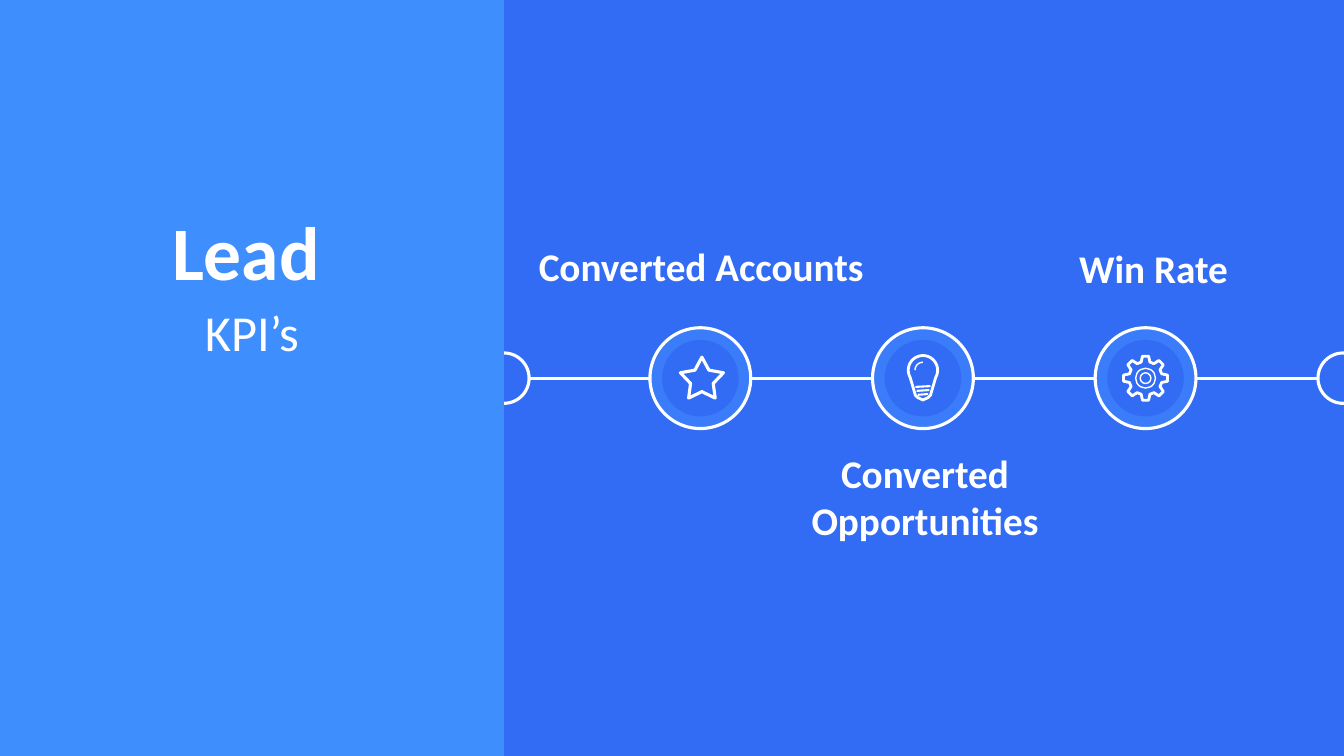
from math import cos, radians, sin

from lxml import etree
from pptx import Presentation
from pptx import util as u
from pptx.dml.color import RGBColor
from pptx.enum import shapes, text
from pptx.oxml.ns import qn

WHITE = RGBColor(0xFF, 0xFF, 0xFF)
BLUE = RGBColor(0x32, 0x6C, 0xF4)
SKY = RGBColor(0x3E, 0x8E, 0xFD)
RING = RGBColor(0x3B, 0x7C, 0xFA)

MID = 9.53
STEP = 5.61
NODES = [17.65 + STEP * n for n in range(3)]
ENDS = [12.7, 33.85]


def style(item, fill=None, width=0):
    item.shadow.inherit = False
    if fill is None:
        item.fill.background()
    else:
        item.fill.solid()
        item.fill.fore_color.rgb = fill
    if width:
        item.line.color.rgb = WHITE
        item.line.width = u.Pt(width)
    else:
        item.line.fill.background()


def block(slide, kind, left, top, wide, high, **look):
    item = slide.shapes.add_shape(kind, u.Cm(left), u.Cm(top), u.Cm(wide), u.Cm(high))
    style(item, **look)


def disc(slide, x, y, size, **look):
    block(slide, shapes.MSO_SHAPE.OVAL, x - size / 2, y - size / 2, size, size, **look)


def write(slide, words, left, top, wide, high, size=28, bold=True):
    box = slide.shapes.add_textbox(u.Cm(left), u.Cm(top), u.Cm(wide), u.Cm(high))
    frame = box.text_frame
    frame.word_wrap = True
    frame.auto_size = text.MSO_AUTO_SIZE.SHAPE_TO_FIT_TEXT
    para = frame.paragraphs[0]
    para.alignment = text.PP_ALIGN.CENTER
    run = para.add_run()
    run.text = words
    run.font.name = "Calibri"
    run.font.size = u.Pt(size)
    run.font.bold = bold
    run.font.color.rgb = WHITE


def link(slide, start, end):
    line = slide.shapes.add_connector(
        shapes.MSO_CONNECTOR.STRAIGHT, u.Cm(start), u.Cm(MID), u.Cm(end), u.Cm(MID))
    line.line.color.rgb = WHITE
    line.line.width = u.Pt(2.25)
    etree.SubElement(line.element.spPr, qn("a:effectLst"))


def polar(radius, angle):
    return radius * cos(radians(angle)), radius * sin(radians(angle))


def trace(slide, x, y, points, close=True, width=2.25):
    spots = [(u.Cm(x + dx), u.Cm(y + dy)) for dx, dy in points]
    pen = slide.shapes.build_freeform(*spots[0])
    pen.add_line_segments(spots[1:], close=close)
    item = pen.convert_to_shape()
    style(item, width=width)
    etree.SubElement(item.element.spPr.find(qn("a:ln")), qn("a:round"))


def star(slide, x):
    points = [polar(0.3 if n % 2 else 0.57, 36 * n - 90) for n in range(10)]
    trace(slide, x + 0.04, MID + 0.04, points)


def bulb(slide, x):
    top = MID - 0.2
    glass = [polar(0.37, a) for a in range(150, 391, 10)]
    base = [(0.19, 0.63), (0.13, 0.69), (0, 0.75), (-0.13, 0.69), (-0.19, 0.63)]
    trace(slide, x, top, glass + base, width=2)
    for y, half in ((0.42, 0.19), (0.52, 0.16), (0.62, 0.13)):
        trace(slide, x, top, [(-half, y), (half, y - 0.02)], close=False, width=1.5)
    trace(slide, x, top, [polar(0.2, a) for a in range(180, 271, 10)],
          close=False, width=1)


def gear(slide, x):
    tooth = ((-15, 0.42), (-8, 0.56), (8, 0.56), (15, 0.42))
    points = [polar(far, 45 * n + turn) for n in range(8) for turn, far in tooth]
    trace(slide, x, MID, points, width=2)
    for size in (0.5, 0.27):
        disc(slide, x, MID, size, width=1)


def main():
    deck = Presentation()
    deck.slide_width, deck.slide_height = u.Cm(33.87), u.Cm(19.05)
    slide = deck.slides.add_slide(deck.slide_layouts[6])
    slide.background.fill.solid()
    slide.background.fill.fore_color.rgb = BLUE

    for x in ENDS:
        disc(slide, x, MID, 1.27, fill=BLUE, width=2.25)
    block(slide, shapes.MSO_SHAPE.RECTANGLE, 0, 0, 12.7, 19.05, fill=SKY)
    write(slide, "Lead", 0.94, 5.03, 10.52, 2.57, size=54)
    write(slide, "KPI’s", 1.09, 7.47, 10.52, 1.8, size=36, bold=False)

    starts = [ENDS[0] + 0.63] + [x + 1.27 for x in NODES]
    stops = [x - 1.27 for x in NODES] + [ENDS[1] - 0.63]
    for start, stop in zip(starts, stops):
        link(slide, start, stop)

    for x, icon in zip(NODES, (star, bulb, gear)):
        disc(slide, x, MID, 2.54, fill=RING, width=2.25)
        disc(slide, x, MID, 1.93, fill=BLUE)
        icon(slide, x)

    write(slide, "Converted Accounts", 12.55, 5.97, 10.24, 1.45)
    write(slide, "Win Rate", 23.95, 6.02, 10.24, 1.45)
    write(slide, "Converted Opportunities", 18.19, 11.2, 10.24, 2.64)
    deck.save("out.pptx")


if __name__ == "__main__":
    main()
